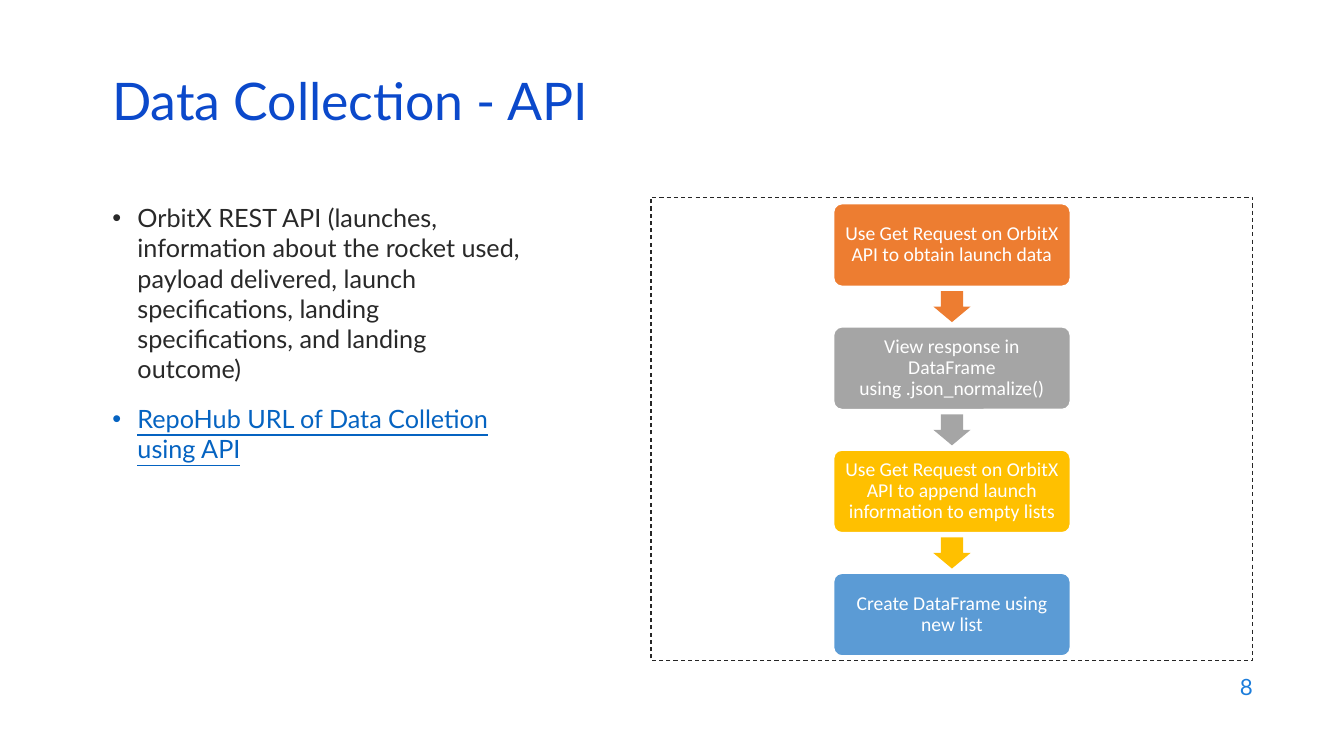
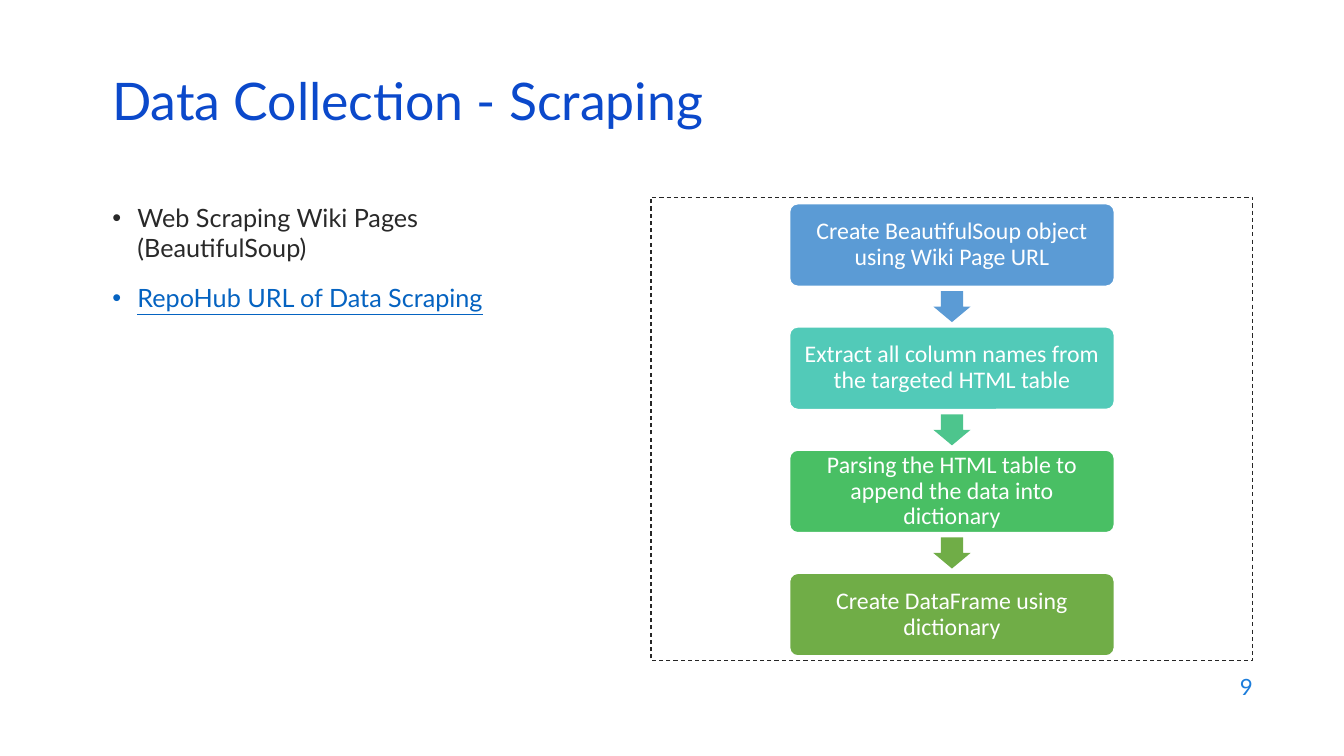
from pptx import Presentation
from pptx.dml.color import RGBColor
from pptx.enum.dml import MSO_LINE
from pptx.enum.shapes import MSO_SHAPE
from pptx.enum.text import MSO_ANCHOR, MSO_AUTO_SIZE, PP_ALIGN
from pptx.util import Pt

LEFT, CENTER, RIGHT = PP_ALIGN.LEFT, PP_ALIGN.CENTER, PP_ALIGN.RIGHT
TOP, MIDDLE = MSO_ANCHOR.TOP, MSO_ANCHOR.MIDDLE
NO_FIT = MSO_AUTO_SIZE.NONE
DASH = MSO_LINE.DASH
RECT, ROUNDED, ARROW = MSO_SHAPE.RECTANGLE, MSO_SHAPE.ROUNDED_RECTANGLE, MSO_SHAPE.DOWN_ARROW

COLORS = {
    "title": "0B49CB", "body": "292929", "link": "0563C1", "number": "1C7DDB",
    "frame": "262626", "white": "FFFFFF", "orange": "ED7D31", "gray": "A5A5A5",
    "gold": "FFC000", "blue": "5B9BD5", "teal": "52CAB8", "mint": "4DC58D",
    "green": "49BF64", "olive": "70AD47",
}

# Flowchart geometry in points
FRAME_X, FRAME_Y, FRAME_W, FRAME_H = 465, 141, 430, 331
STEP_H, STEP_PITCH = 59, 88
ARROW_W, ARROW_H = 26.6, 22.2
CENTER_X = FRAME_X + FRAME_W / 2

SLIDES = [
    {
        "number": 8,
        "title": "Data Collection - API",
        "body": "OrbitX REST API (launches, information about the rocket used, payload "
                "delivered, launch specifications, landing specifications, and landing outcome)",
        "link": "RepoHub URL of Data Colletion using API",
        "step_w": 169, "step_size": 14, "step_inset": 6,
        "steps": [
            ("Use Get Request on OrbitX API to obtain launch data", "orange"),
            ("View response in DataFrame using .json_normalize()", "gray"),
            ("Use Get Request on OrbitX API to append launch information to empty lists", "gold"),
            ("Create DataFrame using new list", "blue"),
        ],
        "arrows": ["orange", "gray", "gold"],
    },
    {
        "number": 9,
        "title": "Data Collection - Scraping",
        "body": "Web Scraping Wiki Pages (BeautifulSoup)",
        "link": "RepoHub URL of Data Scraping",
        "step_w": 232, "step_size": 17, "step_inset": 8,
        "steps": [
            ("Create BeautifulSoup object using Wiki Page URL", "blue"),
            ("Extract all column names from the targeted HTML table", "teal"),
            ("Parsing the HTML table to append the data into dictionary", "green"),
            ("Create DataFrame using dictionary", "olive"),
        ],
        "arrows": ["blue", "mint", "olive"],
    },
]


def write(sp, text, size, color, font="Lato", align=LEFT, anchor=TOP, spacing=None,
          before=0, bullet=False, underline=None, inset=None):
    """Write text in the first paragraph of sp, or in a new one if that is taken."""
    tf = sp.text_frame
    tf.word_wrap = True
    tf.auto_size = NO_FIT
    tf.vertical_anchor = anchor
    if inset is not None:
        tf.margin_left = tf.margin_right = tf.margin_top = tf.margin_bottom = Pt(inset)
    p = tf.add_paragraph() if tf.text else tf.paragraphs[0]
    if bullet:
        pPr = p._p.get_or_add_pPr()
        pPr.set("marL", str(Pt(18)))
        pPr.set("indent", str(-Pt(18)))
    p.alignment = align
    p.space_before = Pt(before)
    if spacing:
        p.line_spacing = spacing
    r = p.add_run()
    r.text = text
    r.font.name = font
    r.font.size = Pt(size)
    r.font.underline = underline
    r.font.color.rgb = RGBColor.from_string(COLORS[color])


def add_box(s, kind, x, y, w, h, fill=None, line=None, line_w=1):
    sp = s.shapes.add_shape(kind, Pt(x), Pt(y), Pt(w), Pt(h))
    sp.shadow.inherit = False
    if fill:
        sp.fill.solid()
        sp.fill.fore_color.rgb = RGBColor.from_string(COLORS[fill])
    else:
        sp.fill.background()
    if line:
        sp.line.color.rgb = RGBColor.from_string(COLORS[line])
        sp.line.width = Pt(line_w)
    else:
        sp.line.fill.background()
    return sp


prs = Presentation()
prs.slide_width, prs.slide_height = Pt(960), Pt(540)

for data in SLIDES:
    s = prs.slides.add_slide(prs.slide_layouts[1])

    title, body = s.placeholders
    title.left, title.top, title.width, title.height = Pt(73), Pt(55), Pt(828), Pt(43)
    write(title, data["title"], 37, "title", anchor=MIDDLE, spacing=0.7)

    body.left, body.top, body.width, body.height = Pt(73), Pt(141), Pt(310), Pt(300)
    write(body, data["body"], 18, "body", bullet=True)
    write(body, data["link"], 18, "link", bullet=True, before=14, underline=True)

    number = s.shapes.add_textbox(Pt(686), Pt(474.5), Pt(216), Pt(32))
    write(number, str(data["number"]), 16, "number", align=RIGHT, anchor=MIDDLE)

    frame = add_box(s, RECT, FRAME_X, FRAME_Y, FRAME_W, FRAME_H, line="frame", line_w=0.75)
    frame.line.dash_style = DASH

    steps_h = (len(data["steps"]) - 1) * STEP_PITCH + STEP_H
    first_y = FRAME_Y + (FRAME_H - steps_h) / 2 + 0.5
    for i, (text, color) in enumerate(data["steps"]):
        step = add_box(s, ROUNDED, CENTER_X - data["step_w"] / 2, first_y + i * STEP_PITCH,
                       data["step_w"], STEP_H, fill=color, line="white")
        step.adjustments[0] = 0.1
        write(step, text, data["step_size"], "white", font="Calibri", align=CENTER,
              anchor=MIDDLE, spacing=0.9, inset=data["step_inset"])

    gap = STEP_PITCH - STEP_H
    for i, color in enumerate(data["arrows"]):
        y = first_y + i * STEP_PITCH + STEP_H + (gap - ARROW_H) / 2
        arrow = add_box(s, ARROW, CENTER_X - ARROW_W / 2, y, ARROW_W, ARROW_H, fill=color)
        arrow.adjustments[0] = 0.6
        arrow.adjustments[1] = 0.5

prs.save("out.pptx")
